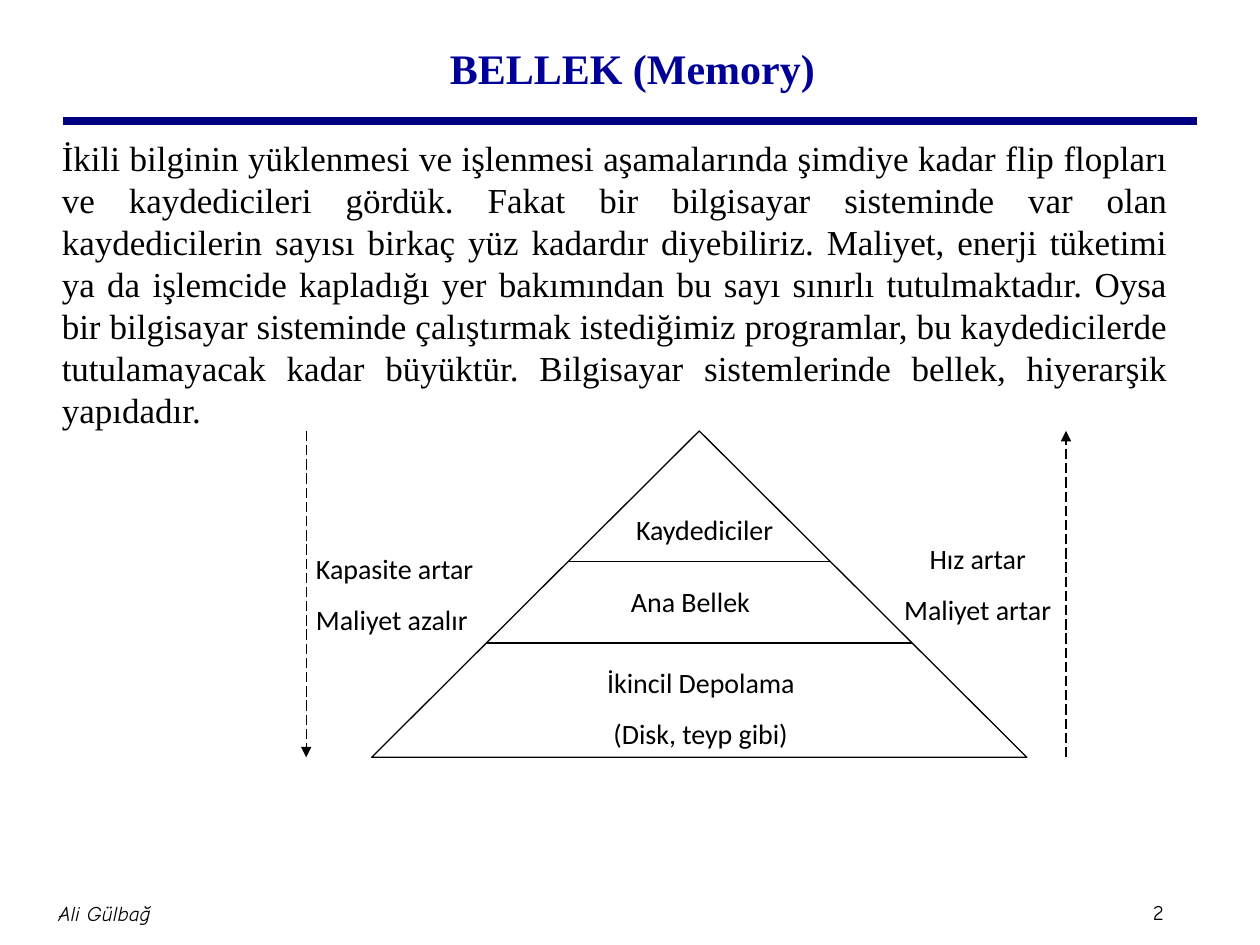
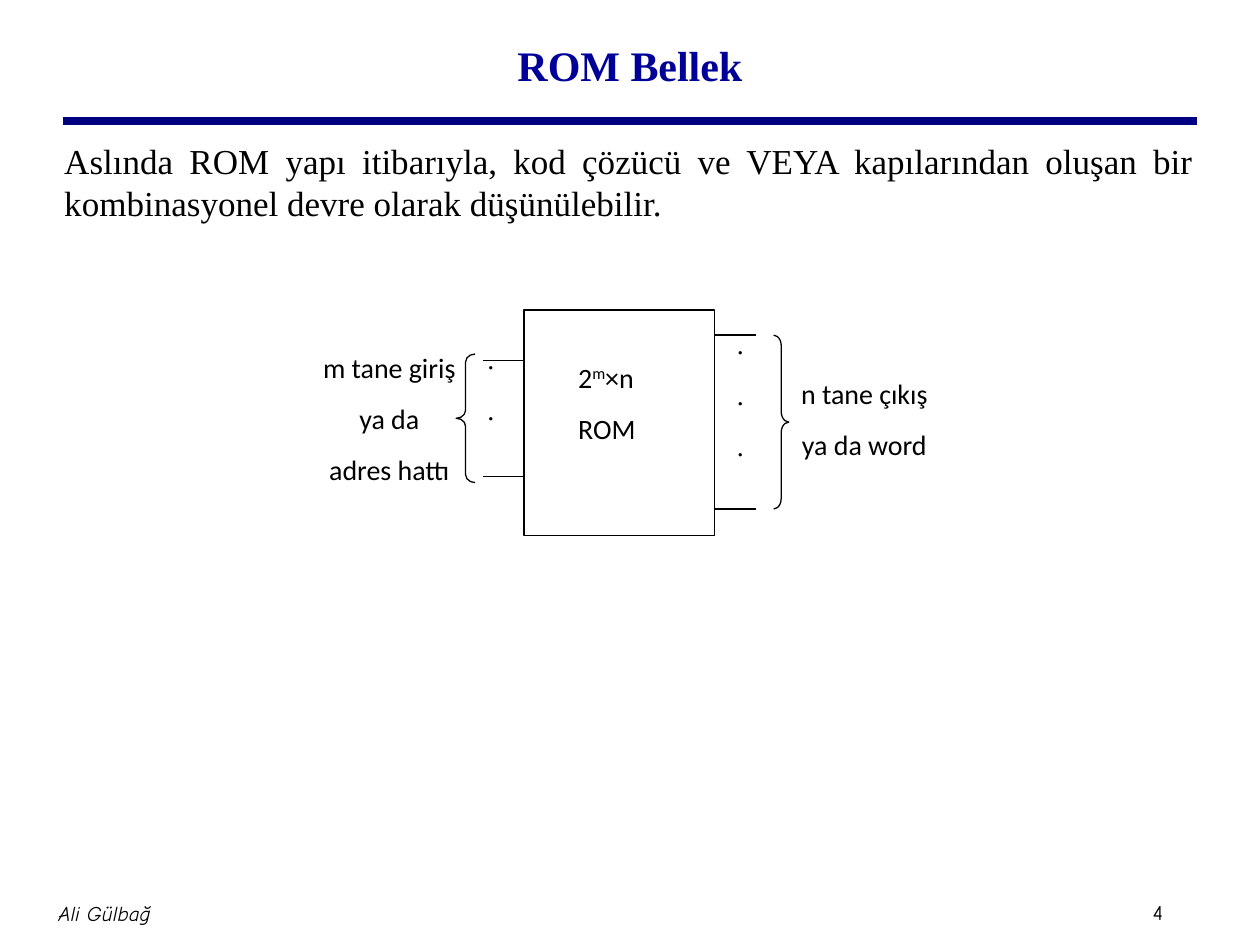
from dataclasses import dataclass

from lxml.etree import SubElement
from pptx import Presentation
from pptx.dml.color import RGBColor
from pptx.enum.dml import MSO_LINE_DASH_STYLE as Dash
from pptx.enum.shapes import MSO_CONNECTOR as Link, MSO_SHAPE as Preset
from pptx.enum.text import MSO_ANCHOR as Anchor, MSO_AUTO_SIZE as AutoSize, PP_ALIGN as Align
from pptx.oxml.ns import qn
from pptx.util import Inches, Pt


@dataclass(frozen=True)
class Theme:
    ink = RGBColor(0x00, 0x00, 0x00)
    paper = RGBColor(0xFF, 0xFF, 0xFF)
    heading = RGBColor(0x00, 0x00, 0x99)
    rule = RGBColor(0x00, 0x00, 0x80)
    serif, sans, hand = "Times New Roman", "Calibri", "Comic Neue"
    title_size, body_size, label_size, footer_size = 24, 20, 16, 12
    thin, thick = 0.75, 4.5
    label_gap = 10


@dataclass(frozen=True)
class Grid:
    """A figure's grid: its corner in inches, cells a tenth of an inch wide."""
    left: float
    top: float
    cell: float = 0.1

    def x(self, col):
        return Inches(self.left + col * self.cell)

    def y(self, row):
        return Inches(self.top + row * self.cell)

    def box(self, col, row, cols, rows):
        return (self.x(col), self.y(row),
                Inches(cols * self.cell), Inches(rows * self.cell))


THEME = Theme()


def style(paragraph, size, face, color=THEME.ink, align=None, bold=False, italic=False):
    font = paragraph.font
    font.size, font.name, font.bold, font.italic = Pt(size), face, bold, italic
    font.color.rgb = color
    paragraph.alignment = align


def place(shape, box):
    shape.left, shape.top, shape.width, shape.height = map(Inches, box)


def draw_line(shapes, start, end, color=THEME.ink, width=THEME.thin, arrow=False):
    link = shapes.add_connector(Link.STRAIGHT, *start, *end)
    link.line.color.rgb = color
    link.line.width = Pt(width)
    if arrow:
        link.line.dash_style = Dash.LONG_DASH
        SubElement(link.line._get_or_add_ln(), qn("a:tailEnd"), type="triangle")
    SubElement(link._element.spPr, qn("a:effectLst"))


def draw_shape(shapes, preset, box, adjustments=(), filled=True):
    shape = shapes.add_shape(preset, *box)
    shape.shadow.inherit = False
    if filled:
        shape.fill.solid()
        shape.fill.fore_color.rgb = THEME.paper
    else:
        shape.fill.background()
    shape.line.color.rgb = THEME.ink
    shape.line.width = Pt(THEME.thin)
    for index, value in enumerate(adjustments):
        shape.adjustments[index] = value


def draw_label(shapes, grid, col, row, cols, lines, face=THEME.sans, align=Align.LEFT):
    """Each line is a string, or a list of (text, is_superscript) parts."""
    label = shapes.add_textbox(*grid.box(col, row, cols, 4.1 * len(lines) + 1))
    frame = label.text_frame
    frame.word_wrap = True
    for index, line in enumerate(lines):
        paragraph = frame.add_paragraph() if index else frame.paragraphs[0]
        parts = [(line, False)] if isinstance(line, str) else line
        for text, raised in parts:
            run = paragraph.add_run()
            run.text = text
            if raised:
                run.font._element.set("baseline", "30000")
        style(paragraph, THEME.label_size, face, align=align)
        paragraph.space_after = Pt(THEME.label_gap)


def add_footer(slide, box, text, align, italic=False):
    footer = slide.shapes.add_textbox(*map(Inches, box))
    frame = footer.text_frame
    frame.word_wrap = True
    frame.vertical_anchor = Anchor.MIDDLE
    frame.margin_left = frame.margin_right = Inches(0.05)
    frame.text = text
    style(frame.paragraphs[0], THEME.footer_size, THEME.hand, align=align, italic=italic)


def add_page(deck, number, heading, heading_box, passage, passage_box, space_before):
    """Title, rule, justified passage and footers shared by all slides."""
    slide = deck.slides.add_slide(deck.slide_layouts[1])
    draw_line(slide.shapes, (Inches(0.5), Inches(0.96)), (Inches(9.5), Inches(0.96)),
              THEME.rule, THEME.thick)
    add_footer(slide, (9.1, 7.09, 0.47, 0.3), str(number), Align.LEFT)
    add_footer(slide, (0.03, 7, 1.6, 0.5), "Ali Gülbağ", Align.CENTER, italic=True)

    title, body = slide.placeholders
    place(title, heading_box)
    title.text_frame.text = heading
    title.text_frame.vertical_anchor = Anchor.MIDDLE
    style(title.text_frame.paragraphs[0], THEME.title_size, THEME.serif,
          THEME.heading, Align.CENTER, bold=True)

    place(body, passage_box)
    body.text_frame.text = passage
    body.text_frame.auto_size = AutoSize.NONE
    paragraph = body.text_frame.paragraphs[0]
    style(paragraph, THEME.body_size, THEME.serif, align=Align.JUSTIFY)
    paragraph.space_before = Pt(space_before)
    properties = paragraph._p.get_or_add_pPr()
    properties.set("marL", "0")
    properties.set("indent", "0")
    # The bullet setting precedes the default run properties in the schema
    bullet = SubElement(properties, qn("a:buNone"))
    defaults = properties.find(qn("a:defRPr"))
    if defaults is not None:
        defaults.addprevious(bullet)
    return slide


def draw_memory_pyramid(slide, grid):
    shapes = slide.shapes.add_group_shape().shapes
    left, width, height, right_edge = 5.2, 52, 25.9, 60.3
    draw_shape(shapes, Preset.ISOSCELES_TRIANGLE, grid.box(left, 0, width, height))

    # Levels of the hierarchy
    draw_label(shapes, grid, 25.2, 6, 20, ["Kaydediciler"])
    draw_label(shapes, grid, 24.8, 11.7, 20, ["Ana Bellek"])
    draw_label(shapes, grid, 22.9, 18.1, 20, ["İkincil Depolama", " (Disk, teyp gibi)"])

    # Dividers span the triangle's width at their depth
    middle = left + width / 2
    for depth in (0.4, 0.65):
        reach = depth * width / 2
        level = grid.y(depth * height)
        draw_line(shapes, (grid.x(middle - reach), level), (grid.x(middle + reach), level))

    # Trends: speed and cost rise upwards, capacity grows downwards
    for col, start, end in ((right_edge, height, 0), (0, 0, height)):
        draw_line(shapes, (grid.x(col), grid.y(start)), (grid.x(col), grid.y(end)), arrow=True)
    draw_label(shapes, grid, 43.3, 8.3, 20, ["Hız artar", "Maliyet artar"],
               align=Align.CENTER)
    draw_label(shapes, grid, -0.2, 9.1, 20, ["Kapasite artar", "Maliyet azalır"])


def draw_rom_block(slide, grid):
    shapes = slide.shapes.add_group_shape().shapes
    left, width, height, pin = 18.1, 15.1, 17.9, 3.3
    right = left + width
    draw_shape(shapes, Preset.RECTANGLE, grid.box(left, 0, width, height))

    # Input and output pins
    for col, rows in ((left - pin, (4, 13.2)), (right, (2, 15.8))):
        for row in rows:
            draw_line(shapes, (grid.x(col), grid.y(row)), (grid.x(col + pin), grid.y(row)))
    draw_label(shapes, grid, 34, 0.8, 2.6, ["."] * 3, THEME.serif)
    draw_label(shapes, grid, 14.2, 2, 2.6, ["."] * 2, THEME.serif)

    # Block name
    draw_label(shapes, grid, 21.4, 3.5, 15.9,
               [[("2", False), ("m", True), ("×n", False)], "ROM"])

    # Braces and what they gather
    draw_shape(shapes, Preset.LEFT_BRACE, grid.box(12.7, 3.5, 1.5, 10.2), (0.42, 0.5), False)
    draw_label(shapes, grid, 0, 2.7, 14.8, ["m tane giriş", "ya da", "adres hattı"],
               align=Align.CENTER)
    draw_shape(shapes, Preset.RIGHT_BRACE, grid.box(37.9, 2, 1.2, 13.8), (0.7, 0.5), False)
    draw_label(shapes, grid, 37.7, 4.8, 14.8, ["n tane çıkış", "ya da word"],
               align=Align.CENTER)


deck = Presentation()
deck.slide_width, deck.slide_height = Inches(10), Inches(7.5)

memory = add_page(
    deck, 2, "BELLEK (Memory)", (0.22, 0.11, 9.6, 0.86),
    "İkili bilginin yüklenmesi ve işlenmesi aşamalarında şimdiye kadar flip flopları "
    "ve kaydedicileri gördük. Fakat bir bilgisayar sisteminde var olan kaydedicilerin "
    "sayısı birkaç yüz kadardır diyebiliriz. Maliyet, enerji tüketimi ya da işlemcide "
    "kapladığı yer bakımından bu sayı sınırlı tutulmaktadır. Oysa bir bilgisayar "
    "sisteminde çalıştırmak istediğimiz programlar, bu kaydedicilerde tutulamayacak "
    "kadar büyüktür. Bilgisayar sistemlerinde bellek, hiyerarşik yapıdadır.",
    (0.39, 1.03, 8.98, 2.46), space_before=0)
draw_memory_pyramid(memory, Grid(2.43, 3.42))

rom = add_page(
    deck, 4, "ROM Bellek", (0.75, 0.08, 8.5, 0.86),
    "Aslında ROM yapı itibarıyla, kod çözücü ve VEYA kapılarından oluşan bir "
    "kombinasyonel devre olarak düşünülebilir.",
    (0.41, 1.06, 9.16, 1.01), space_before=4)
draw_rom_block(rom, Grid(2.35, 2.46))

deck.save("out.pptx")
